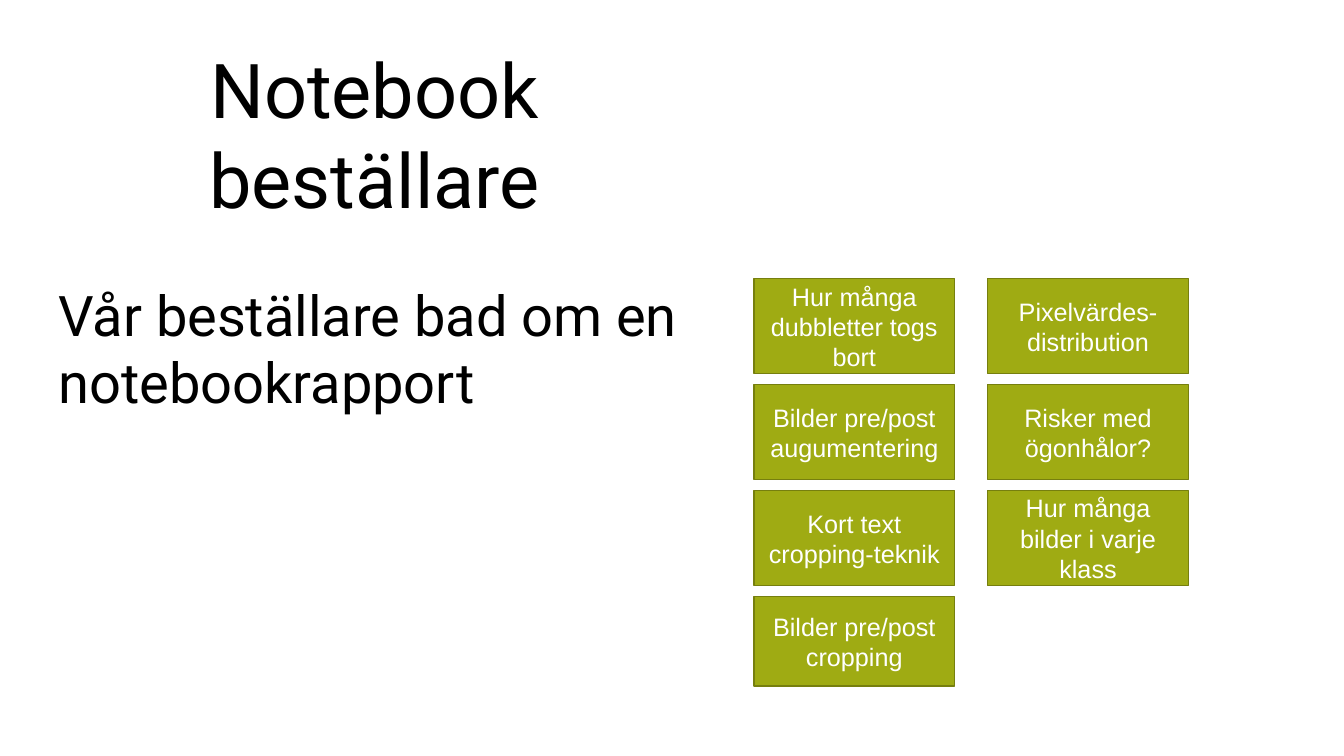
from pptx import Presentation
from pptx.dml.color import RGBColor
from pptx.enum.shapes import MSO_SHAPE
from pptx.enum.text import MSO_ANCHOR, MSO_AUTO_SIZE, PP_ALIGN
from pptx.util import Cm, Pt

COLORS = {"text": "000000", "box": "9FAB13", "border": "767F0E", "box_text": "FFFFFF"}


def write(sp, text, size, font, color, align, anchor):
    tf = sp.text_frame
    tf.word_wrap = True
    tf.auto_size = MSO_AUTO_SIZE.NONE
    tf.vertical_anchor = anchor
    p = tf.paragraphs[0]
    p.alignment = align
    r = p.add_run()
    r.text = text
    r.font.size = Pt(size)
    r.font.name = font
    r.font.color.rgb = RGBColor.from_string(COLORS[color])


prs = Presentation()
prs.slide_width, prs.slide_height = Cm(33.87), Cm(19.05)
s = prs.slides.add_slide(prs.slide_layouts[5])

# Statement in the title placeholder
title = s.shapes.title
title.left, title.top, title.width, title.height = Cm(1.22), Cm(5.87), Cm(16.94), Cm(4.72)
write(title, "Vår beställare bad om en notebookrapport", size=40, font="Roboto",
      color="text", align=PP_ALIGN.LEFT, anchor=MSO_ANCHOR.BOTTOM)

# Requested parts of the report, in two columns
columns = [
    (19, ["Hur många dubbletter togs bort", "Bilder pre/post augumentering",
          "Kort text cropping-teknik", "Bilder pre/post cropping"]),
    (24.89, ["Pixelvärdes-distribution", "Risker med ögonhålor?",
             "Hur många bilder i varje klass"]),
]
for left, labels in columns:
    for row, label in enumerate(labels):
        height = 2.26 if row == 3 else 2.4
        sp = s.shapes.add_shape(MSO_SHAPE.RECTANGLE, Cm(left), Cm(7.02 + row * 2.67),
                                Cm(5.06), Cm(height))
        sp.shadow.inherit = False
        sp.fill.solid()
        sp.fill.fore_color.rgb = RGBColor.from_string(COLORS["box"])
        sp.line.color.rgb = RGBColor.from_string(COLORS["border"])
        sp.line.width = Pt(1)
        write(sp, label, size=18, font="Arial", color="box_text",
              align=PP_ALIGN.CENTER, anchor=MSO_ANCHOR.MIDDLE)

# Heading
heading = s.shapes.add_textbox(Cm(0.97), Cm(2.44), Cm(16.94), Cm(3.33))
write(heading, "Notebook beställare", size=54, font="Roboto",
      color="text", align=PP_ALIGN.CENTER, anchor=MSO_ANCHOR.BOTTOM)

prs.save("out.pptx")
